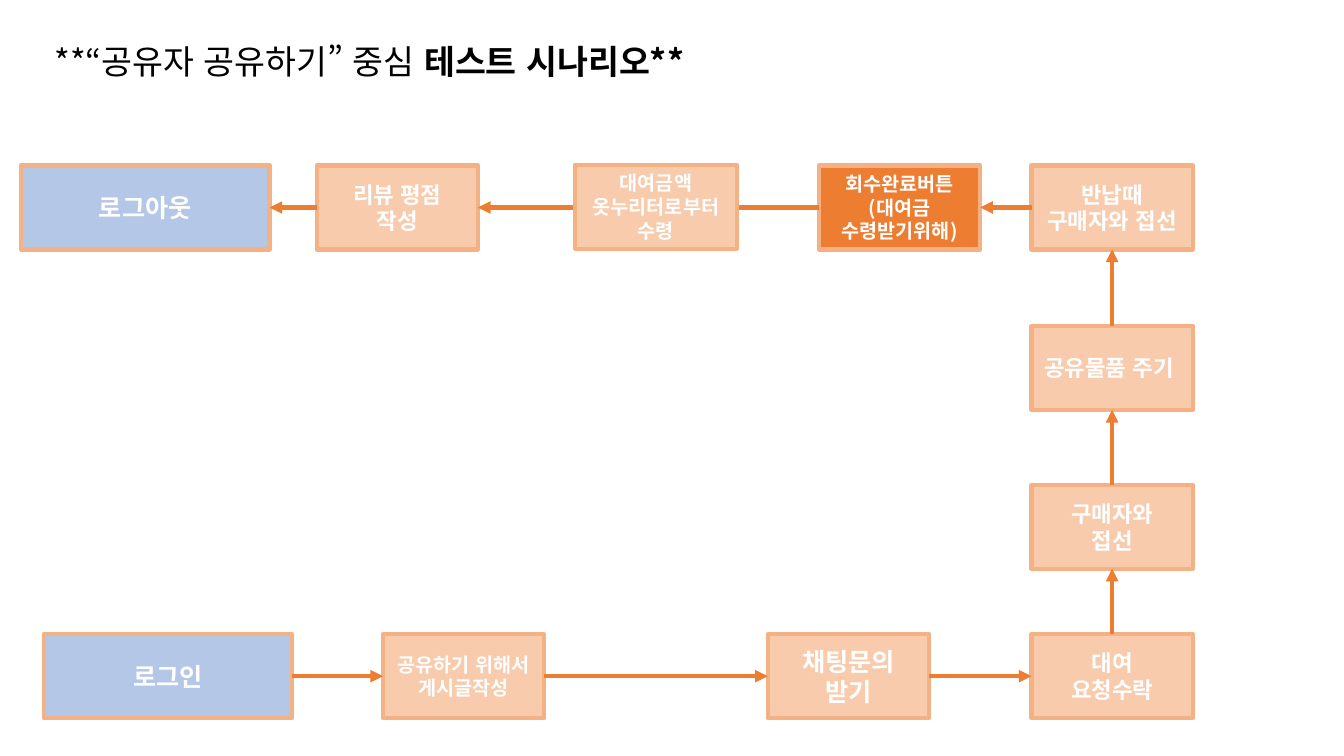
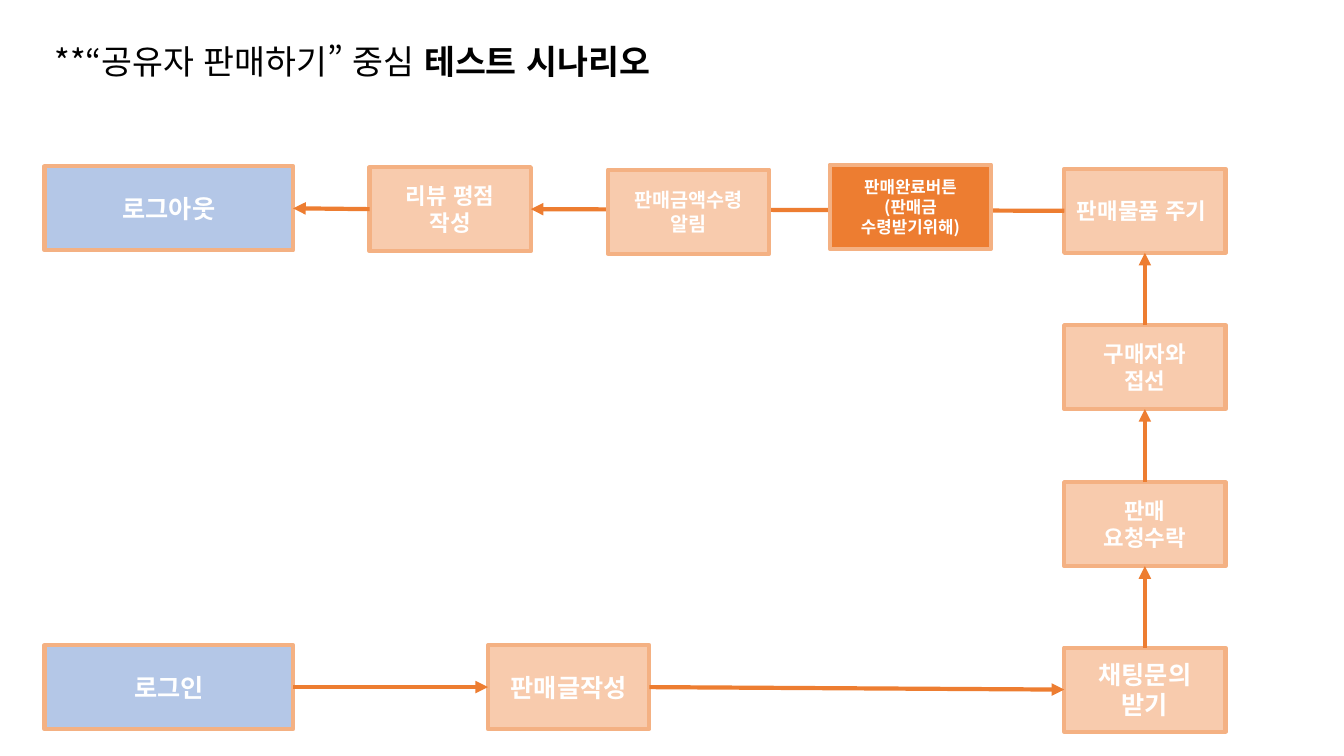
from dataclasses import dataclass
from pptx import Presentation
from pptx.dml.color import RGBColor as Rgb
from pptx.enum.lang import MSO_LANGUAGE_ID as Lang
from pptx.enum.shapes import MSO_CONNECTOR as Conn, MSO_SHAPE as Geo
from pptx.enum.text import MSO_ANCHOR as Anchor, PP_ALIGN as Align
from pptx.oxml.ns import qn
from pptx.util import Emu, Inches, Pt
from lxml.etree import SubElement as Sub


@dataclass(frozen=True)
class Theme:
    font: str = "Noto Sans CJK KR"
    ink: str = "000000"
    light: str = "FFFFFF"
    edge: str = "F4B183"
    arrow: str = "ED7D31"
    end: str = "B4C7E7"
    step: str = "F8CBAD"
    key: str = "ED7D31"
    title: int = 24
    big: int = 18
    mid: int = 16
    small: int = 14
    tiny: int = 12
    stroke: int = 3


COLS, ROWS = 80, 45
HIGH = 5
STEP, WIDE = 9.6, 14.8
TOP, LEFT, BOTTOM, RIGHT = range(4)


class Deck:
    def __init__(self, theme):
        self.theme = theme
        self.prs = Presentation()
        self.prs.slide_width = Inches(13.333)
        self.prs.slide_height = Inches(7.5)

    def x(self, cols):
        return Emu(round(self.prs.slide_width * cols / COLS))

    def y(self, rows):
        return Emu(round(self.prs.slide_height * rows / ROWS))

    def area(self, col, row, wide, high):
        return self.x(col), self.y(row), self.x(wide), self.y(high)

    def page(self):
        self.slide = self.prs.slides.add_slide(self.prs.slide_layouts[6])

    def style(self, run, size, color, bold):
        font = run.font
        font.size, font.bold = Pt(size), bold
        font.color.rgb = Rgb.from_string(color)
        font.name = self.theme.font
        font.language_id = Lang.KOREAN
        Sub(run._r.get_or_add_rPr(), qn("a:ea"), typeface=self.theme.font)

    def stroke(self, line, color):
        line.color.rgb = Rgb.from_string(color)
        line.width = Pt(self.theme.stroke)

    def title(self, plain, strong):
        area = self.area(2.65, 2.05, 74.3, 3.5)
        frame = self.slide.shapes.add_textbox(*area).text_frame
        frame.word_wrap = True
        frame.vertical_anchor = Anchor.MIDDLE
        para = frame.paragraphs[0]
        para.line_spacing = 0.9
        for text, bold in ((plain, False), (strong, True)):
            run = para.add_run()
            run.text = text
            self.style(run, self.theme.title, self.theme.ink, bold)

    def box(self, kind, text, size, col, row):
        theme = self.theme
        wide = WIDE if kind == "end" else STEP
        area = self.area(col, row, wide, HIGH)
        shape = self.slide.shapes.add_shape(Geo.RECTANGLE, *area)
        shape.shadow.inherit = False
        shape.fill.solid()
        shape.fill.fore_color.rgb = Rgb.from_string(getattr(theme, kind))
        self.stroke(shape.line, theme.edge)
        frame = shape.text_frame
        frame.text = text
        frame.word_wrap = True
        frame.vertical_anchor = Anchor.MIDDLE
        for para in frame.paragraphs:
            para.alignment = Align.CENTER
            for run in para.runs:
                self.style(run, getattr(theme, size), theme.light, True)
        return shape

    def link(self, start, stop):
        if start.left == stop.left:
            sides = TOP, BOTTOM
        elif start.left < stop.left:
            sides = RIGHT, LEFT
        else:
            sides = LEFT, RIGHT
        line = self.slide.shapes.add_connector(Conn.STRAIGHT, 0, 0, 0, 0)
        line.begin_connect(start, sides[0])
        line.end_connect(stop, sides[1])
        self.stroke(line.line, self.theme.arrow)
        Sub(line.line._get_or_add_ln(), qn("a:tailEnd"), type="triangle")
        Sub(line._element.spPr, qn("a:effectLst"))

    def flow(self, steps, over):
        boxes = [self.box(*step) for step in steps]
        for start, stop in zip(boxes, boxes[1:]):
            self.link(start, stop)
        for step in over:
            self.box(*step)


SHARE = [
    ("end", "로그인", "big", 2.6, 37.75),
    ("step", "공유하기 위해서 게시글작성", "small", 22.8, 37.75),
    ("step", "채팅문의 받기", "big", 45.7, 37.75),
    ("step", "대여\n요청수락", "mid", 61.4, 37.75),
    ("step", "구매자와\n접선", "mid", 61.4, 28.85),
    ("step", "공유물품 주기 ", "mid", 61.4, 19.4),
    ("step", "반납때 구매자와 접선", "mid", 61.4, 9.85),
    ("key", "회수완료버튼 (대여금 수령받기위해)", "small", 48.75, 9.85),
    ("step", "리뷰 평점\n작성", "mid", 18.85, 9.85),
    ("end", "로그아웃", "big", 1.25, 9.85),
]
SHARE_OVER = [
    ("step", "대여금액 옷누리터로부터\n수령", "small", 34.25, 9.8),
]
SALE = [
    ("end", "로그인", "big", 2.65, 38.4),
    ("step", "판매글작성", "big", 29.05, 38.4),
    ("step", "채팅문의 받기", "big", 63.35, 38.55),
    ("step", "판매\n요청수락", "mid", 63.35, 28.7),
    ("step", "구매자와\n접선", "mid", 63.35, 19.35),
    ("step", "판매물품 주기 ", "mid", 63.35, 10.05),
    ("step", "리뷰 평점\n작성", "mid", 22, 9.95),
    ("end", "로그아웃", "big", 2.65, 9.9),
]
SALE_OVER = [
    ("key", "판매완료버튼\n(판매금 수령받기위해)", "tiny", 49.4, 9.8),
    ("step", "판매금액수령 알림", "small", 36.2, 10.1),
]
PAGES = [
    ("**“공유자 공유하기” 중심 ", "테스트 시나리오**", SHARE, SHARE_OVER),
    ("**“공유자 판매하기” 중심 ", "테스트 시나리오", SALE, SALE_OVER),
]

deck = Deck(Theme())
for plain, strong, steps, over in PAGES:
    deck.page()
    deck.title(plain, strong)
    deck.flow(steps, over)
deck.prs.save("out.pptx")
